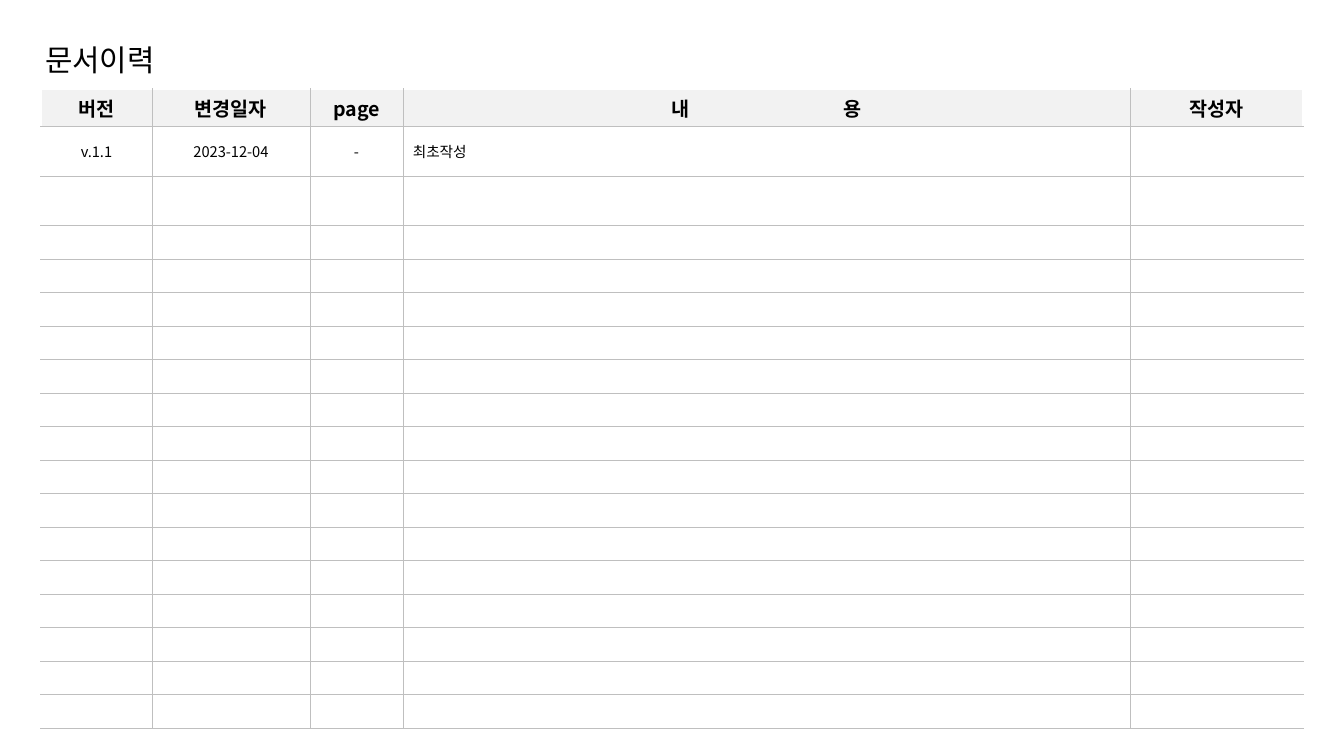
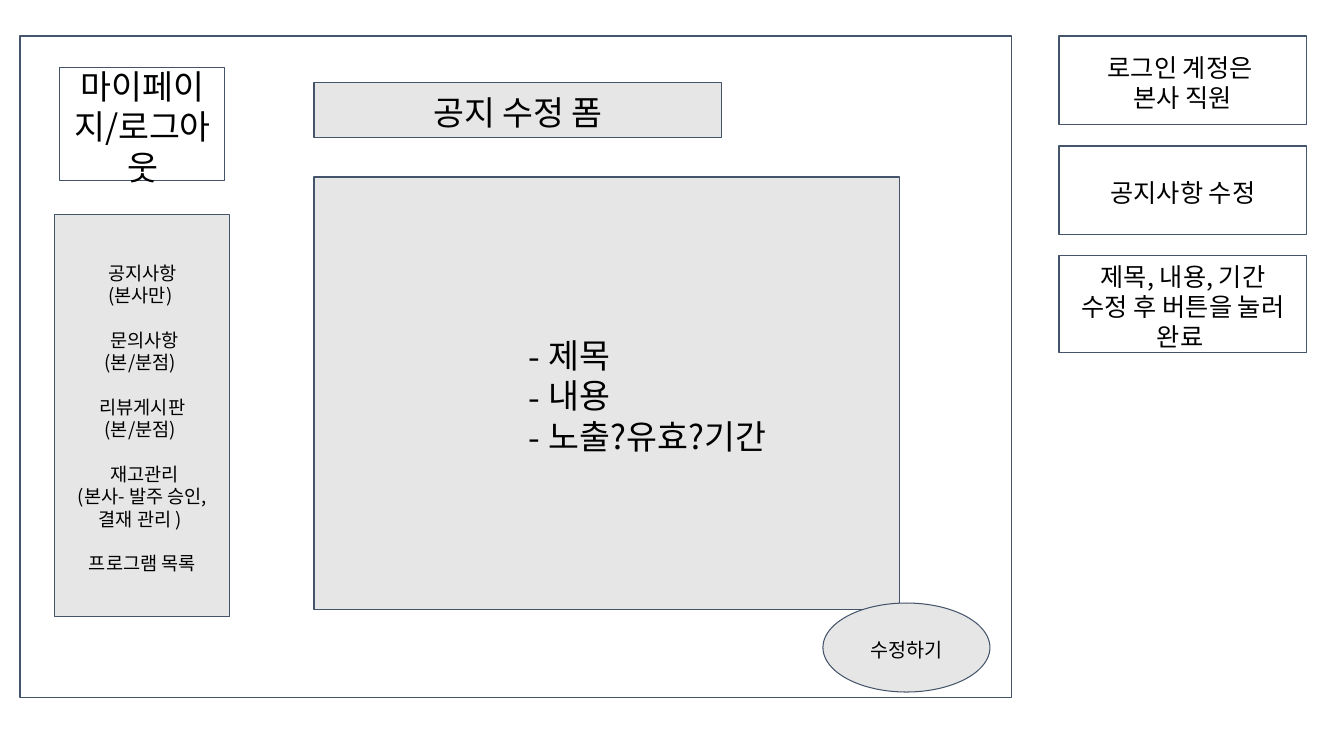
from lxml.etree import SubElement
from pptx import Presentation
from pptx.dml.color import RGBColor
from pptx.enum.shapes import MSO_SHAPE
from pptx.enum.text import MSO_ANCHOR, MSO_AUTO_SIZE, PP_ALIGN
from pptx.oxml import parse_xml
from pptx.oxml.ns import nsdecls, qn
from pptx.util import Emu, Pt

# Shared look
KOREAN, LATIN = "Noto Sans CJK KR", "Arial"
BLACK, WHITE, GRAY = "000000", "FFFFFF", "E7E6E6"
OUTLINE, GRID, HEADER = "44546A", "BFBFBF", "F2F2F2"
LEADING = 1.2

# Slide 1: revision history
HISTORY_TITLE = "문서이력"
HISTORY_HEAD = ["버전", "변경일자", "page", "\t내\t용", "작성자"]
HISTORY_ROWS = [["v.1.1", "2023-12-04", "-", "최초작성", ""]]
HISTORY_AT = (41, 89)
COLUMNS = [111, 158, 93, 728, 172]
TOP_ROWS, EMPTY_ROWS, EMPTY_HEIGHT = [37, 50, 50], 15, 503
CONTENT_COLUMN = 3
CONTENT_TABS = [268, 440]

# Slide 2: wireframe of the notice form
FRAME = (20, 36, 992, 662)
FORM_TITLE = ("공지 수정 폼", (314, 83, 408, 55))
FORM_FIELDS = (["제목", "내용", "노출?유효?기간"], (314, 177, 586, 433))
FIELD_INDENT, FIELD_HANG = 222, 20
ACCOUNT = (["마이페이지/로그아웃"], (60, 68, 165, 113))
MENU = [
    ["공지사항", "(본사만) "],
    [" 문의사항", "(본/분점) "],
    ["리뷰게시판", "(본/분점) "],
    [" 재고관리", "(본사- 발주 승인, 결재 관리 ) "],
    ["프로그램 목록"],
]
MENU_AT = (55, 215, 175, 402)
EDIT_BUTTON = (["수정하기"], (823, 603, 167, 89))
NOTES = [
    (["로그인 계정은 ", "본사 직원"], 89),
    (["공지사항 수정"], 89),
    (["제목, 내용, 기간", "수정 후 버튼을 눌러 완료 "], 97),
]
NOTE_LEFT, NOTE_TOP, NOTE_WIDTH, NOTE_GAP = 1059, 36, 248, 21


def px(length):
    return Emu(round(length * 914400 / 100.8))


def color(value):
    return RGBColor.from_string(value)


def write(frame, lines, size=18, font=KOREAN, bold=False, align=PP_ALIGN.CENTER,
          leading=None, gaps=(), tabs=(), bullet=None):
    """Fill a text frame; gaps holds the indexes of lines with space before."""
    for index, line in enumerate(lines):
        paragraph = frame.paragraphs[0] if index == 0 else frame.add_paragraph()
        paragraph.alignment = align
        paragraph.space_before = Pt(size * LEADING if index in gaps else 0)
        if leading:
            paragraph.line_spacing = Pt(round(size * leading, 1))
        properties = paragraph._p.get_or_add_pPr()
        if bullet:
            properties.set("marL", str(px(FIELD_INDENT)))
            properties.set("indent", str(-px(FIELD_HANG)))
            SubElement(properties, qn("a:buFont"), typeface=font)
            SubElement(properties, qn("a:buChar"), char=bullet)
        if tabs:
            stops = SubElement(properties, qn("a:tabLst"))
            for stop in tabs:
                SubElement(stops, qn("a:tab"), pos=str(px(stop)), algn="ctr")
        if not line:
            SubElement(paragraph._p, qn("a:endParaRPr"), sz=str(int(size * 100)))
            continue
        run = paragraph.add_run()
        run.text = line
        run.font.size, run.font.bold, run.font.name = Pt(size), bold, font
        run.font.color.rgb = color(BLACK)
        SubElement(run._r.get_or_add_rPr(), qn("a:ea"), typeface=font)


def place(shape, box):
    shape.left, shape.top, shape.width, shape.height = map(px, box)


def set_frame(frame, insets, anchor):
    frame.word_wrap = True
    frame.auto_size = MSO_AUTO_SIZE.NONE
    frame.vertical_anchor = anchor
    (frame.margin_left, frame.margin_top,
     frame.margin_right, frame.margin_bottom) = map(px, insets)


def panel(shape, lines, fill=WHITE, **text_format):
    """Give a shape or placeholder the outlined wireframe look."""
    shape.fill.solid()
    shape.fill.fore_color.rgb = color(fill)
    shape.line.color.rgb = color(OUTLINE)
    shape.line.width = Pt(0.75)
    set_frame(shape.text_frame, (13, 15, 13, 11), MSO_ANCHOR.MIDDLE)
    write(shape.text_frame, lines, leading=LEADING, **text_format)


def add_panel(slide, lines, box, kind=MSO_SHAPE.RECTANGLE, **look):
    shape = slide.shapes.add_shape(kind, *map(px, box))
    shape.shadow.inherit = False
    panel(shape, lines, **look)


def fill_panel(slide, placeholder, lines, box, **look):
    """Style a placeholder and bring it in front of the frame."""
    place(placeholder, box)
    panel(placeholder, lines, **look)
    slide.shapes._spTree.append(placeholder._element)


def add_borders(cell, sides):
    properties = cell._tc.get_or_add_tcPr()
    for index, side in enumerate(sides):
        properties.insert(index, parse_xml(
            f'<a:ln{side} {nsdecls("a")} w="9525"><a:solidFill>'
            f'<a:srgbClr val="{GRID}"/></a:solidFill></a:ln{side}>'))


def build_history(prs):
    slide = prs.slides.add_slide(prs.slide_layouts[5])
    title = slide.shapes.title
    place(title, (32, 35, 162, 49))
    set_frame(title.text_frame, (13, 7, 13, 7), MSO_ANCHOR.TOP)
    write(title.text_frame, [HISTORY_TITLE], size=21.3, font=LATIN,
          align=PP_ALIGN.LEFT)

    # Table grid
    heights = TOP_ROWS + [EMPTY_HEIGHT / EMPTY_ROWS] * EMPTY_ROWS
    table = slide.shapes.add_table(
        len(heights), len(COLUMNS), *map(px, HISTORY_AT),
        px(sum(COLUMNS)), px(sum(heights))).table
    table.first_row = table.horz_banding = False
    for column, width in zip(table.columns, COLUMNS):
        column.width = px(width)
    for row, height in zip(table.rows, heights):
        row.height = px(height)

    # Cells
    rows = [HISTORY_HEAD] + HISTORY_ROWS
    rows += [[""] * len(COLUMNS)] * (len(heights) - len(rows))
    for r, texts in enumerate(rows):
        for c, text in enumerate(texts):
            cell, is_head = table.cell(r, c), r == 0
            cell.vertical_anchor = MSO_ANCHOR.MIDDLE
            cell.margin_left = cell.margin_right = px(10)
            cell.margin_top = cell.margin_bottom = px(4)
            if is_head:
                cell.fill.solid()
                cell.fill.fore_color.rgb = color(HEADER)
            else:
                cell.fill.background()
            is_content = c == CONTENT_COLUMN
            write(cell.text_frame, [text], size=14 if is_head else 10.5, bold=is_head,
                  align=PP_ALIGN.LEFT if is_content else PP_ALIGN.CENTER,
                  tabs=CONTENT_TABS if is_head and is_content else ())
            add_borders(cell, ("L" if c else "")
                        + ("R" if c < len(COLUMNS) - 1 else "")
                        + ("B" if is_head else "TB"))


def build_notice_form(prs):
    slide = prs.slides.add_slide(prs.slide_layouts[1])
    add_panel(slide, [], FRAME)

    # Form
    heading, heading_box = FORM_TITLE
    fill_panel(slide, slide.shapes.title, [heading], heading_box, fill=GRAY, size=24)
    fields, fields_box = FORM_FIELDS
    fill_panel(slide, slide.placeholders[1], fields, fields_box, fill=GRAY, size=24,
               align=PP_ALIGN.LEFT, bullet="-")
    add_panel(slide, *EDIT_BUTTON, kind=MSO_SHAPE.OVAL, fill=GRAY, size=14)

    # Sidebar
    add_panel(slide, *ACCOUNT, size=24)
    lines, group_starts = [], []
    for group in MENU:
        if lines:
            group_starts.append(len(lines))
        lines += group
    add_panel(slide, lines, MENU_AT, fill=GRAY, size=13.3, gaps=group_starts)

    # Notes
    top = NOTE_TOP
    for note, height in NOTES:
        add_panel(slide, note, (NOTE_LEFT, top, NOTE_WIDTH, height))
        top += height + NOTE_GAP


def main():
    prs = Presentation()
    prs.slide_width, prs.slide_height = px(1344), px(756)
    build_history(prs)
    build_notice_form(prs)
    prs.save("out.pptx")


if __name__ == "__main__":
    main()
